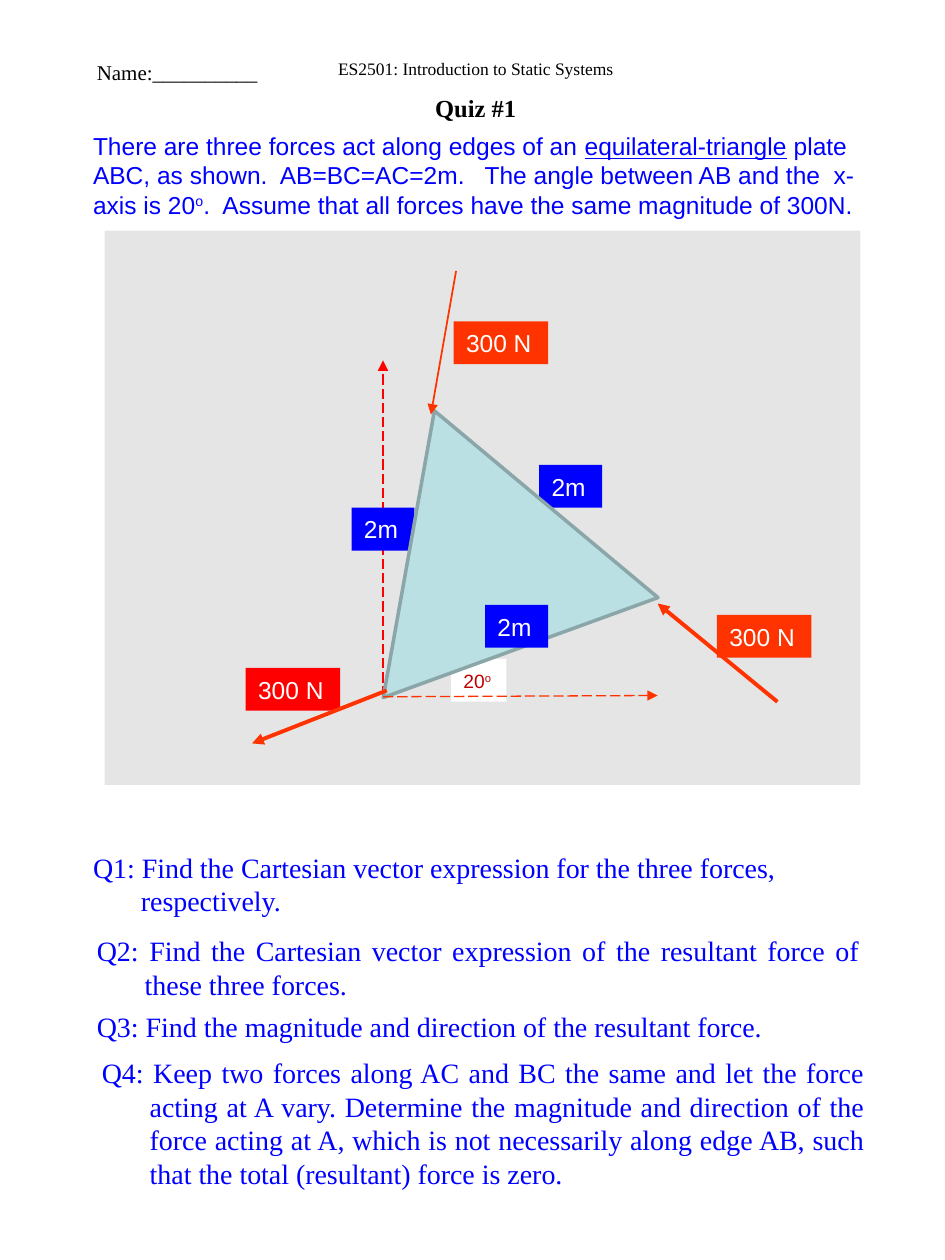
from dataclasses import dataclass

import lxml.etree
import pptx
import pptx.dml.color
import pptx.enum.shapes
import pptx.enum.text
import pptx.oxml.ns
import pptx.util

Inches = pptx.util.Inches
Pt = pptx.util.Pt
qn = pptx.oxml.ns.qn
Kind = pptx.enum.shapes.MSO_SHAPE
Align = pptx.enum.text.PP_ALIGN
Fit = pptx.enum.text.MSO_AUTO_SIZE
Anchor = pptx.enum.text.MSO_ANCHOR

SERIF, SANS = "Times New Roman", "Arial"
BLACK, WHITE, BLUE = "000000", "FFFFFF", "0000FF"
RED, ORANGE = "FF0000", "FF3300"
HANG = 0.38


@dataclass
class Run:
    text: str
    size: float
    font: str
    color: str
    bold: bool = False
    under: bool = False
    raised: bool = False


@dataclass
class Tag:
    """A filled label on the drawing."""
    left: float
    top: float
    width: float
    fill: str
    runs: list[Run]


@dataclass
class Arrow:
    start: tuple[float, float]
    end: tuple[float, float]
    color: str
    width: float
    dashed: bool = False


@dataclass
class Task:
    left: float
    top: float
    width: float
    height: float
    text: str
    align: Align = Align.JUSTIFY


def rgb(color: str) -> pptx.dml.color.RGBColor:
    return pptx.dml.color.RGBColor.from_string(color)


def write(para, runs: list[Run]) -> None:
    for item in runs:
        run = para.add_run()
        run.text = item.text
        font = run.font
        font.size = Pt(item.size)
        font.name = item.font
        font.color.rgb = rgb(item.color)
        font.bold = item.bold
        font.underline = item.under
        if item.raised:
            run._r.get_or_add_rPr().set("baseline", "30000")


def add_text(slide, left: float, top: float, width: float, height: float,
             runs: list[Run], wrap: bool = True):
    box = slide.shapes.add_textbox(Inches(left), Inches(top), Inches(width), Inches(height))
    frame = box.text_frame
    frame.word_wrap = wrap
    frame.auto_size = Fit.SHAPE_TO_FIT_TEXT
    write(frame.paragraphs[0], runs)
    return frame.paragraphs[0]


def add_task(slide, task: Task) -> None:
    para = add_text(slide, task.left, task.top, task.width, task.height,
                    [Run(task.text, 16, SERIF, BLUE)])
    para.alignment = task.align
    props = para._p.get_or_add_pPr()
    props.set("marL", str(Inches(HANG)))
    props.set("indent", str(-Inches(HANG)))


def add_shape(slide, kind: Kind, left: float, top: float, width: float, height: float, fill: str):
    shape = slide.shapes.add_shape(kind, Inches(left), Inches(top), Inches(width), Inches(height))
    shape.shadow.inherit = False
    shape.fill.solid()
    shape.fill.fore_color.rgb = rgb(fill)
    shape.line.fill.background()
    return shape


def add_tag(slide, tag: Tag) -> None:
    shape = add_shape(slide, Kind.RECTANGLE, tag.left, tag.top, tag.width, 0.34, tag.fill)
    frame = shape.text_frame
    frame.word_wrap = True
    frame.vertical_anchor = Anchor.MIDDLE
    frame.paragraphs[0].alignment = Align.LEFT
    write(frame.paragraphs[0], tag.runs)


def add_arrow(slide, arrow: Arrow) -> None:
    ends = [Inches(value) for value in (*arrow.start, *arrow.end)]
    link = slide.shapes.add_connector(pptx.enum.shapes.MSO_CONNECTOR.STRAIGHT, *ends)
    link.line.color.rgb = rgb(arrow.color)
    link.line.width = Pt(arrow.width)
    if arrow.dashed:
        link.line.dash_style = pptx.enum.dml.MSO_LINE.LONG_DASH
    tip = lxml.etree.SubElement(link.line._get_or_add_ln(), qn("a:tailEnd"))
    tip.set("type", "triangle")
    lxml.etree.SubElement(link._element.spPr, qn("a:effectLst"))


def add_title(slide) -> None:
    title = slide.shapes.title
    title.left, title.top = Inches(0.5), Inches(0.33)
    title.width, title.height = Inches(6.38), Inches(0.5)
    frame = title.text_frame
    frame.auto_size = Fit.NONE
    frame.vertical_anchor = Anchor.TOP
    frame.margin_top = Inches(0.13)
    course, quiz = frame.paragraphs[0], frame.add_paragraph()
    course.alignment = quiz.alignment = Align.CENTER
    course._p.get_or_add_pPr().set("marL", str(Inches(0.17)))
    quiz.space_before = Pt(8)
    write(course, [Run("ES2501: Introduction to Static Systems", 10, SERIF, BLACK)])
    write(quiz, [Run("Quiz #1", 14, SERIF, BLACK, bold=True)])


def add_plate(slide) -> None:
    plate = add_shape(slide, Kind.ISOSCELES_TRIANGLE, 2.63, 3.2, 2.32, 2, "BBE0E3")
    plate.rotation = 340
    plate.line.color.rgb = rgb("8AA6A8")
    plate.line.width = Pt(2)


def side(left: float, top: float) -> Tag:
    return Tag(left, top, 0.5, BLUE, [Run("2m", 14, SANS, WHITE)])


def force(left: float, top: float, fill: str = ORANGE) -> Tag:
    return Tag(left, top, 0.75, fill, [Run("300 N", 14, SANS, WHITE)])


ORIGIN = (3.04, 5.53)
ANGLE = Tag(3.58, 5.23, 0.44, WHITE, [
    Run("20", 11, SANS, "C00000"), Run("o", 11, SANS, "C00000", raised=True)])
BACK = [
    ANGLE,
    Arrow(ORIGIN, (3.04, 2.86), RED, 0.75, dashed=True),
    Arrow((6.17, 5.57), (5.22, 4.79), ORANGE, 2.25),
    side(2.79, 4.03), side(4.28, 3.69), force(1.95, 5.3, RED), force(5.69, 4.88),
]
FRONT = [
    side(3.85, 4.8),
    Arrow((3.07, 5.48), (2, 5.9), ORANGE, 2.25),
    Arrow((3.62, 2.15), (3.42, 3.29), ORANGE, 1),
    Arrow(ORIGIN, (5.22, 5.52), ORANGE, 0.75, dashed=True),
    force(3.6, 2.55),
]
INTRO = [
    Run("There are three forces act along edges of an ", 14, SANS, BLUE),
    Run("equilateral-triangle", 14, SANS, BLUE, under=True),
    Run(" plate ABC, as shown.  AB=BC=AC=2m.   The angle between AB and the  x-axis is 20",
        14, SANS, BLUE),
    Run("o", 14, SANS, BLUE, raised=True),
    Run(".  Assume that all forces have the same magnitude of 300N.", 14, SANS, BLUE),
]
TASKS = [
    Task(0.64, 6.7, 6.5, 0.64, "Q1: Find the Cartesian vector expression for the three forces, "
         "respectively.", Align.LEFT),
    Task(0.67, 7.36, 6.25, 0.64, "Q2: Find the Cartesian vector expression of the resultant "
         "force of these three forces."),
    Task(0.67, 7.96, 6.25, 0.37, "Q3: Find the magnitude and direction of the resultant force."),
    Task(0.71, 8.33, 6.25, 1.18, "Q4: Keep two forces along AC and BC the same and let the force "
         "acting at A vary. Determine the magnitude and direction of the force acting at A, "
         "which is not necessarily along edge AB, such that the total (resultant) force is zero."),
]


def draw(slide, items: list[Tag | Arrow]) -> None:
    for item in items:
        if isinstance(item, Tag):
            add_tag(slide, item)
        else:
            add_arrow(slide, item)


def main() -> None:
    deck = pptx.Presentation()
    deck.slide_width, deck.slide_height = Inches(7.5), Inches(10)
    slide = deck.slides.add_slide(deck.slide_layouts[5])
    add_title(slide)
    panel = add_shape(slide, Kind.RECTANGLE, 0.83, 1.83, 6, 4.4, "808080")
    tint = panel.fill._xPr.find(".//" + qn("a:srgbClr"))
    lxml.etree.SubElement(tint, qn("a:alpha")).set("val", "20000")
    add_text(slide, 0.67, 0.42, 1.48, 0.3, [Run("Name:__________", 12, SERIF, BLACK)], wrap=False)
    add_text(slide, 0.64, 0.99, 6.44, 0.81, INTRO)
    draw(slide, BACK)
    add_plate(slide)
    draw(slide, FRONT)
    for task in TASKS:
        add_task(slide, task)
    deck.save("out.pptx")


if __name__ == "__main__":
    main()
